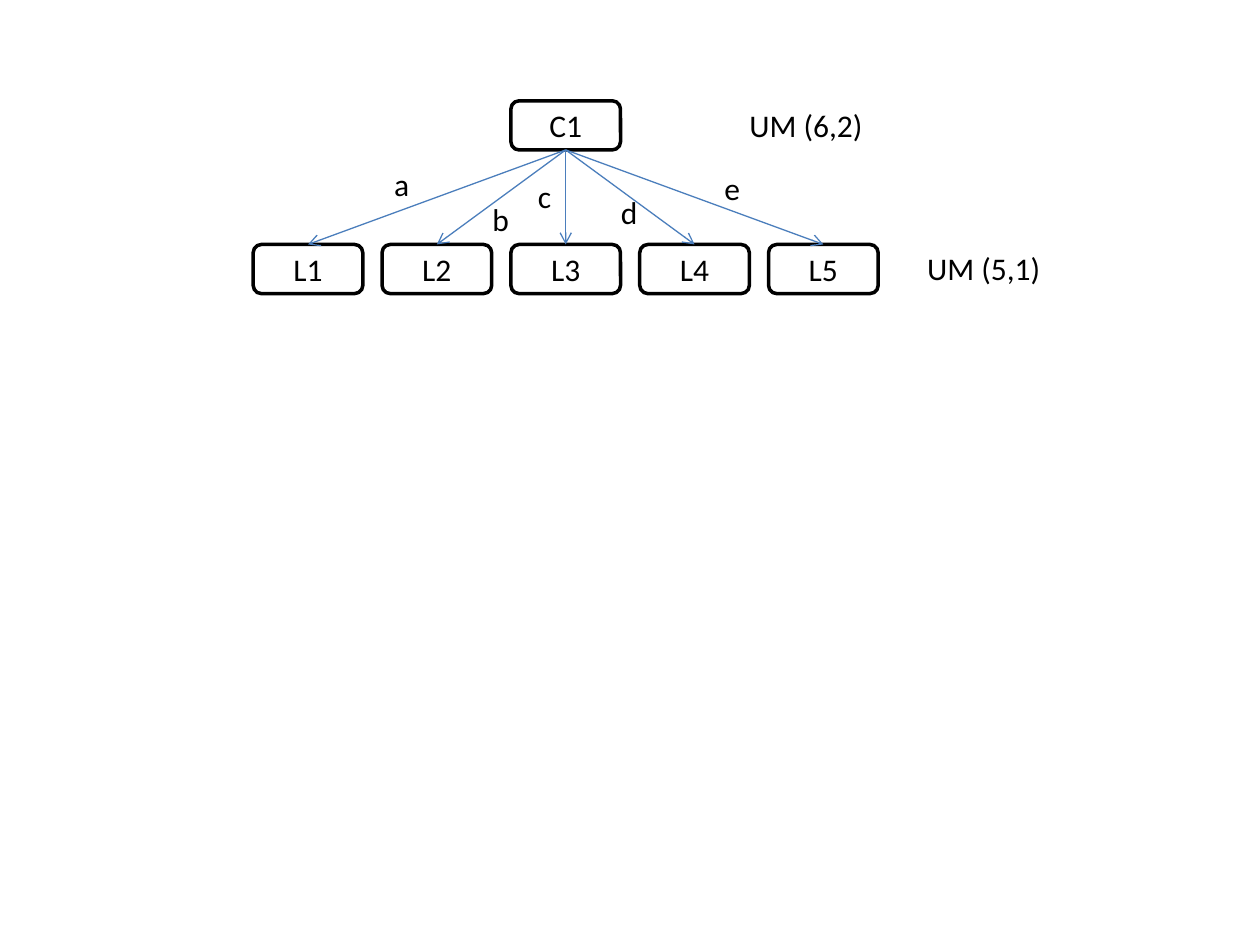
from lxml.etree import SubElement
from pptx import Presentation
from pptx.dml.color import RGBColor
from pptx.enum.shapes import MSO_CONNECTOR, MSO_SHAPE
from pptx.enum.text import MSO_ANCHOR, MSO_AUTO_SIZE, PP_ALIGN
from pptx.oxml.ns import qn
from pptx.util import Inches, Pt

BLACK, WHITE, BLUE = "000000", "FFFFFF", "4B7EBC"
NODE_WIDTH, NODE_HEIGHT = 0.87, 0.39
FIRST_LEFT, LAST_LEFT = 2.01, 6.1
ROOT_TOP, LEAF_TOP = 0.8, 1.94
LEAVES = ["L1", "L2", "L3", "L4", "L5"]
PITCH = (LAST_LEFT - FIRST_LEFT) / (len(LEAVES) - 1)
LABEL_HEIGHT = 0.4
BOTTOM, TOP = 2, 0

EDGE_LABELS = [
    ("a", 3.03, 1.26, 0.32),
    ("b", 3.81, 1.54, 0.34),
    ("c", 4.17, 1.36, 0.31),
    ("d", 4.83, 1.48, 0.34),
    ("e", 5.65, 1.29, 0.33),
]
LEVEL_LABELS = [("UM (6,2)", 5.85, 0.79, 1.5), ("UM (5,1)", 7.26, 1.93, 1.5)]


def color(value):
    return RGBColor.from_string(value)


def write(frame, text, align):
    paragraph = frame.paragraphs[0]
    paragraph.text = text
    paragraph.alignment = align
    paragraph.font.name = "Calibri"
    paragraph.font.size = Pt(18)
    paragraph.font.color.rgb = color(BLACK)


def add_node(slide, name, column, top):
    node = slide.shapes.add_shape(
        MSO_SHAPE.ROUNDED_RECTANGLE,
        Inches(FIRST_LEFT + column * PITCH), Inches(top),
        Inches(NODE_WIDTH), Inches(NODE_HEIGHT),
    )
    node.shadow.inherit = False
    node.fill.solid()
    node.fill.fore_color.rgb = color(WHITE)
    node.line.color.rgb = color(BLACK)
    node.line.width = Pt(2)
    node.text_frame.vertical_anchor = MSO_ANCHOR.MIDDLE
    write(node.text_frame, name, PP_ALIGN.CENTER)
    return node


def add_edge(slide, parent, child):
    edge = slide.shapes.add_connector(MSO_CONNECTOR.STRAIGHT, 0, 0, 0, 0)
    edge.begin_connect(parent, BOTTOM)
    edge.end_connect(child, TOP)
    edge.line.color.rgb = color(BLUE)
    edge.line.width = Pt(0.75)
    SubElement(edge.line._get_or_add_ln(), qn("a:tailEnd"), type="arrow")
    SubElement(edge._element.spPr, qn("a:effectLst"))


def add_label(slide, text, left, top, width, wrap):
    label = slide.shapes.add_textbox(
        Inches(left), Inches(top), Inches(width), Inches(LABEL_HEIGHT)
    )
    frame = label.text_frame
    frame.word_wrap = wrap
    frame.auto_size = MSO_AUTO_SIZE.SHAPE_TO_FIT_TEXT
    write(frame, text, PP_ALIGN.LEFT)


def main():
    deck = Presentation()
    deck.slide_width, deck.slide_height = Inches(10), Inches(7.5)
    slide = deck.slides.add_slide(deck.slide_layouts[6])

    root = add_node(slide, "C1", len(LEAVES) // 2, ROOT_TOP)
    leaves = [add_node(slide, name, column, LEAF_TOP) for column, name in enumerate(LEAVES)]
    for leaf in leaves:
        add_edge(slide, root, leaf)
    for label in EDGE_LABELS:
        add_label(slide, *label, wrap=False)
    for label in LEVEL_LABELS:
        add_label(slide, *label, wrap=True)

    deck.save("out.pptx")


if __name__ == "__main__":
    main()
